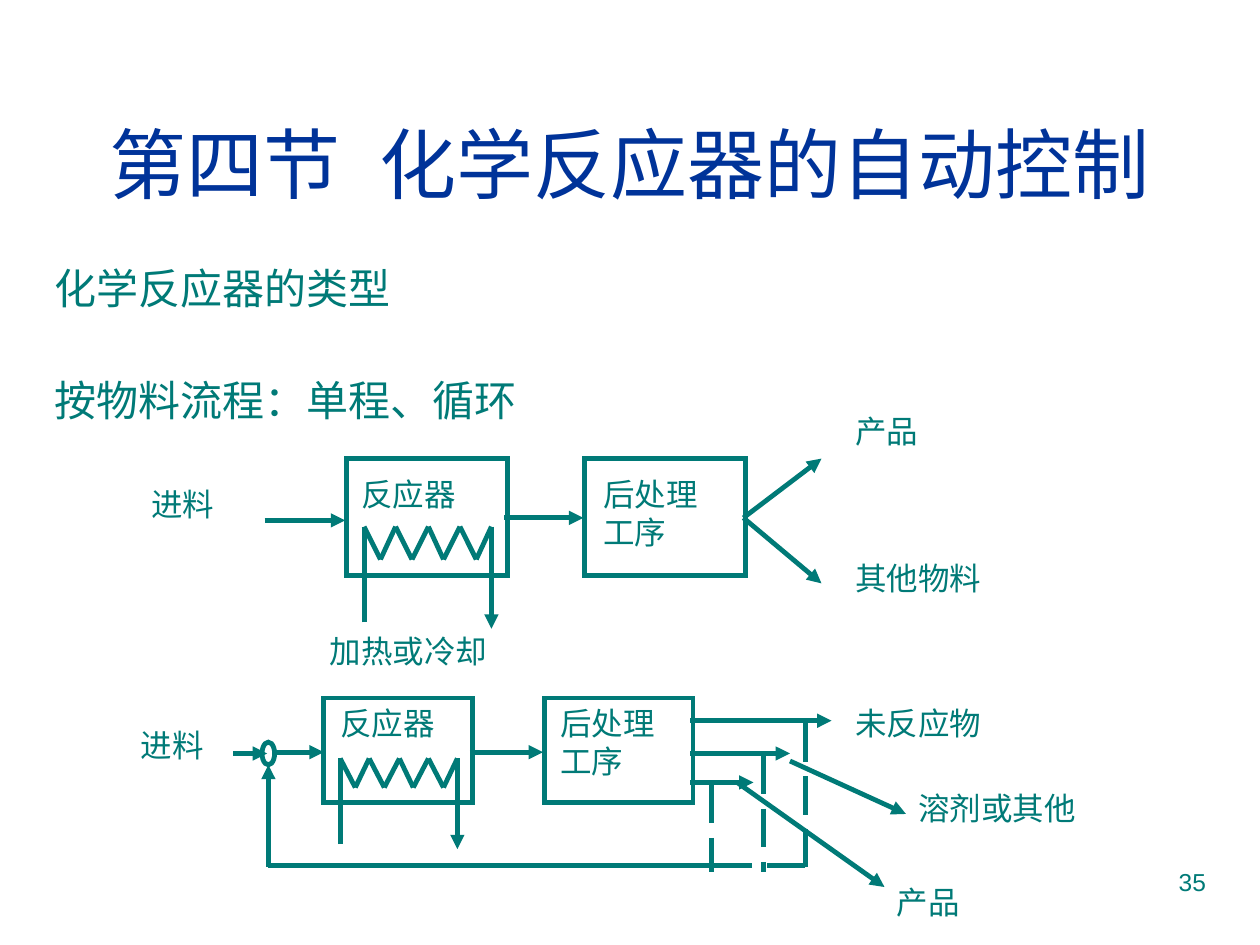
from dataclasses import dataclass

from lxml.etree import SubElement
from pptx import Presentation
from pptx.dml.color import RGBColor
from pptx.enum.dml import MSO_LINE
from pptx.enum.shapes import MSO_CONNECTOR, MSO_SHAPE
from pptx.enum.text import MSO_ANCHOR, MSO_AUTO_SIZE, PP_ALIGN
from pptx.oxml.ns import qn
from pptx.util import Pt

PX = 9144  # 100 px to the inch


@dataclass(frozen=True)
class Theme:
    title_color: RGBColor = RGBColor(0x00, 0x33, 0x99)
    ink: RGBColor = RGBColor(0x00, 0x7A, 0x77)
    font: str = "Arial"
    label_font: str = "Noto Sans CJK SC"
    title_size: int = 44
    body_size: int = 24
    label_size: int = 18
    number_size: int = 14
    stroke: float = 2.75


THEME = Theme()


def style(paragraph, size, color=THEME.ink, name=THEME.font):
    paragraph.font.size = Pt(size)
    paragraph.font.name = name
    paragraph.font.color.rgb = color


def place(shape, box):
    shape.left, shape.top, shape.width, shape.height = (value * PX for value in box)


class Region:
    """Draws parts at px offsets from the corner of its box."""

    def __init__(self, slide, left, top):
        self.shapes, self.left, self.top = slide.shapes, left, top

    def point(self, x, y):
        return (self.left + x) * PX, (self.top + y) * PX

    def outline(self, kind, x, y, width, height):
        shape = self.shapes.add_shape(kind, *self.point(x, y), width * PX, height * PX)
        shape.shadow.inherit = False
        shape.fill.background()
        shape.line.color.rgb = THEME.ink
        shape.line.width = Pt(THEME.stroke)
        SubElement(shape.line._get_or_add_ln(), qn("a:miter"), lim="800000")

    def line(self, start, end, arrow=False, dashed=False):
        connector = self.shapes.add_connector(
            MSO_CONNECTOR.STRAIGHT, *self.point(*start), *self.point(*end))
        connector.line.color.rgb = THEME.ink
        connector.line.width = Pt(THEME.stroke)
        if dashed:
            connector.line.dash_style = MSO_LINE.LONG_DASH
        if arrow:
            SubElement(connector.line._get_or_add_ln(), qn("a:tailEnd"), type="triangle")
        SubElement(connector._element.spPr, qn("a:effectLst"))

    def arrow(self, start, end):
        self.line(start, end, arrow=True)

    def label(self, text, x, y, width, height=40):
        box = self.shapes.add_textbox(*self.point(x, y), width * PX, height * PX)
        box.text_frame.word_wrap = True
        paragraph = box.text_frame.paragraphs[0]
        paragraph.text = text
        style(paragraph, THEME.label_size, name=THEME.label_font)

    def reactor(self, x, y, width, height):
        """Vessel with a zigzag coil, its inlet leg and its outlet arrow."""
        def inside(across, down):
            return x + round(across * width), y + round(down * height)

        self.outline(MSO_SHAPE.RECTANGLE, x, y, width, height)
        first, last, high, low, teeth = 0.11, 0.90, 0.58, 0.86, 8
        step = (last - first) / teeth
        coil = [inside(first + i * step, low if i % 2 else high) for i in range(teeth + 1)]
        for start, end in zip(coil, coil[1:]):
            self.line(start, end)
        self.line(inside(first, 1.40), inside(first, high))
        self.arrow(inside(last, high), inside(last, 1.45))


def fill_title(slide, box):
    title = slide.shapes.title
    place(title, box)
    title.text_frame.vertical_anchor = MSO_ANCHOR.MIDDLE
    title.text_frame.auto_size = MSO_AUTO_SIZE.NONE
    paragraph = title.text_frame.paragraphs[0]
    for text in ("第四节", " ", "化学反应器的自动控制"):
        run = paragraph.add_run()
        run.text = text
        if text == " ":  # widen the gap after the section number
            run._r.get_or_add_rPr().set("spc", "1200")
    paragraph.alignment = PP_ALIGN.CENTER
    style(paragraph, THEME.title_size, THEME.title_color)


def fill_body(slide, box):
    body = slide.placeholders[1]
    place(body, box)
    frame = body.text_frame
    frame.auto_size = MSO_AUTO_SIZE.NONE
    frame.text = "化学反应器的类型\n按物料流程：单程、循环"
    for paragraph, gap in zip(frame.paragraphs, (0, 38)):
        properties = paragraph._p.get_or_add_pPr()
        properties.set("marL", "0")
        properties.set("indent", "0")
        SubElement(properties, qn("a:buNone"))
        paragraph.line_spacing = 0.9
        paragraph.space_before = Pt(gap)
        style(paragraph, THEME.body_size)


def draw_single_pass(slide, left, top):
    flow = Region(slide, left, top)
    # Vessels and streams
    flow.reactor(175, 64, 128, 93)
    flow.outline(MSO_SHAPE.RECTANGLE, 364, 64, 128, 93)
    flow.arrow((110, 113), (174, 113))
    flow.arrow((300, 111), (363, 111))
    for end_y in (64, 163):
        flow.arrow((490, 111), (552, end_y))
    # Labels
    flow.label("进料", 10, 80, 108)
    flow.label("反应器", 177, 72, 108)
    flow.label("后处理工序", 369, 72, 117, 70)
    flow.label("加热或冷却", 152, 197, 175)
    flow.label("产品", 569, 22, 133)
    flow.label("其他物料", 569, 139, 208)


def draw_recycle(slide, left, top):
    flow = Region(slide, left, top)
    # Vessels, mixing point and feed
    flow.reactor(157, 4, 118, 83)
    flow.outline(MSO_SHAPE.RECTANGLE, 332, 4, 118, 83)
    flow.arrow((85, 48), (112, 48))
    flow.outline(MSO_SHAPE.OVAL, 108, 39, 10, 18)
    flow.arrow((117, 47), (157, 47))
    flow.arrow((273, 47), (331, 47))
    # Outgoing streams, each with a dashed branch to the return line
    for y, tip, branch, bottom in ((22, 560, 539, 138), (48, 527, 506, 142), (71, 498, 465, 142)):
        flow.arrow((448, y), (tip, y))
        flow.line((branch, y + 2), (branch, bottom), dashed=True)
    # Return line
    flow.line((539, 137), (465, 137), dashed=True)
    flow.line((465, 137), (113, 137))
    flow.arrow((113, 138), (113, 57))
    # Pointers to the outlet labels
    flow.arrow((485, 71), (602, 154))
    flow.arrow((527, 54), (619, 96))
    # Labels
    flow.label("进料", 2, 21, 108)
    flow.label("反应器", 160, 4, 108)
    flow.label("后处理工序", 335, 4, 117, 70)
    flow.label("未反应物", 569, 4, 142)
    flow.label("溶剂或其他", 619, 71, 175)
    flow.label("产品", 602, 146, 133)


def add_page_number(slide, box):
    number = slide.shapes.add_textbox(*(value * PX for value in box))
    number.text_frame.word_wrap = True
    paragraph = number.text_frame.paragraphs[0]
    paragraph.text = "35"
    paragraph.alignment = PP_ALIGN.RIGHT
    style(paragraph, THEME.number_size)


def main():
    presentation = Presentation()
    presentation.slide_width, presentation.slide_height = 1000 * PX, 750 * PX
    slide = presentation.slides.add_slide(presentation.slide_layouts[1])
    fill_title(slide, (33, 67, 934, 125))
    fill_body(slide, (33, 208, 934, 143))
    draw_single_pass(slide, 100, 300)
    draw_recycle(slide, 100, 550)
    add_page_number(slide, (717, 683, 250, 52))
    presentation.save("out.pptx")


if __name__ == "__main__":
    main()
